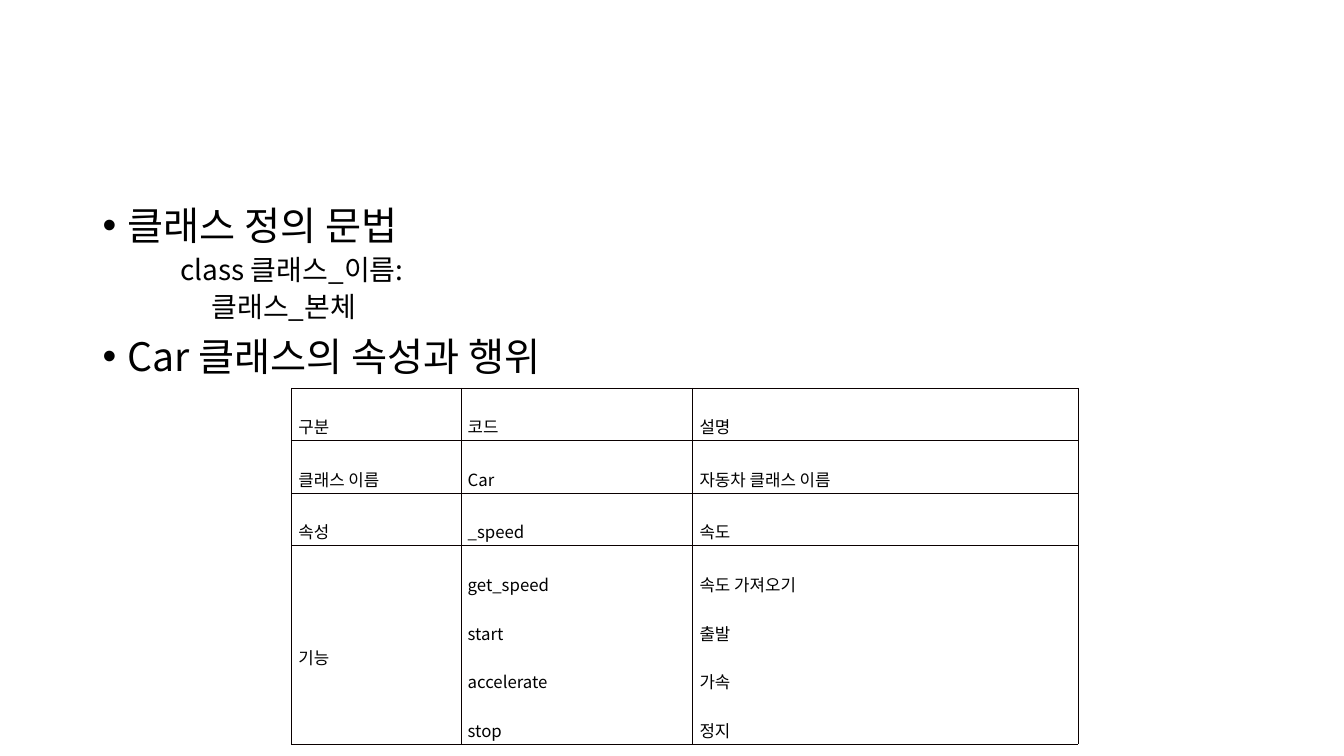
import pptx
import pptx.util
import pptx.dml.color
import pptx.enum.text
import pptx.oxml
import pptx.oxml.ns
from lxml import etree


def color(code):
    return pptx.dml.color.RGBColor.from_string(code)


def node(parent, tag, **attrs):
    return etree.SubElement(parent, pptx.oxml.ns.qn(tag), attrs)


class Page:
    font = "Noto Sans CJK KR"
    ink = "000000"
    paper = "FFFFFF"
    edge = "0A0000"

    def __init__(self, deck):
        self.wide, self.high = deck.slide_width, deck.slide_height
        self.slide = deck.slides.add_slide(deck.slide_layouts[6])

    def across(self, share):
        return round(self.wide * share / 100)

    def down(self, share):
        return round(self.high * share / 100)

    def style(self, para, size, lead):
        para.line_spacing = lead
        for run in para.runs:
            run.font.size = pptx.util.Pt(size)
            run.font.color.rgb = color(self.ink)
            run.font.name = self.font
            node(run.font._element, "a:ea", typeface=self.font)

    def outline(self, left, top, width, height, items):
        box = self.slide.shapes.add_textbox(
            self.across(left), self.down(top), self.across(width), self.down(height))
        frame = box.text_frame
        frame.word_wrap = True
        frame.text = "\n".join(text for text, level in items)
        for para, (text, level) in zip(frame.paragraphs, items):
            head = level == 0
            self.style(para, 28 if head else 20, 0.9)
            para.space_before = pptx.util.Pt(10 if head else 5)
            props = para._p.get_or_add_pPr()
            indent = (0.25, 0.77, 1.08)[level]
            props.set("marL", str(pptx.util.Inches(indent)))
            props.set("indent", str(pptx.util.Inches(-0.25 if head else 0)))
            if head:
                node(props, "a:buFont", typeface="Arial")
                node(props, "a:buChar", char="•")
            else:
                node(props, "a:buNone")

    def border(self, cell):
        props = cell._tc.get_or_add_tcPr()
        for side in "LRTB":
            line = node(props, "a:ln" + side, w=str(pptx.util.Pt(0.28)))
            fill = node(line, "a:solidFill")
            node(fill, "a:srgbClr", val=self.edge)

    def table(self, left, top, cols, rows, texts):
        grid = self.slide.shapes.add_table(
            len(rows), len(cols), self.across(left), self.down(top),
            self.across(sum(cols)), self.down(sum(rows))).table
        for col, share in zip(grid.columns, cols):
            col.width = self.across(share)
        for row, share, line in zip(grid.rows, rows, texts):
            row.height = self.down(share)
            for cell, text in zip(row.cells, line):
                self.cell(cell, text)

    def cell(self, cell, text):
        cell.margin_left = cell.margin_right = pptx.util.Inches(0.07)
        cell.margin_top = cell.margin_bottom = pptx.util.Inches(0.02)
        cell.vertical_anchor = pptx.enum.text.MSO_ANCHOR.MIDDLE
        self.border(cell)
        cell.fill.solid()
        cell.fill.fore_color.rgb = color(self.paper)
        cell.text_frame.text = text
        for para in cell.text_frame.paragraphs:
            self.style(para, 12, 2.0)


deck = pptx.Presentation()
deck.slide_width = pptx.util.Inches(13.33)
deck.slide_height = pptx.util.Inches(7.5)
page = Page(deck)

page.outline(6.9, 26.67, 86.27, 63.47, [
    ("클래스 정의 문법", 0),
    ("class 클래스_이름:", 1),
    ("클래스_본체", 2),
    ("Car 클래스의 속성과 행위", 0),
])

page.table(21.68, 51.33, [12.6, 17.25, 28.66], [6.95] * 3 + [26.25], [
    ("구분", "코드", "설명"),
    ("클래스 이름", "Car", "자동차 클래스 이름"),
    ("속성", "_speed", "속도"),
    ("기능", "get_speed\nstart\naccelerate\nstop", "속도 가져오기\n출발\n가속\n정지"),
])

deck.save("out.pptx")
